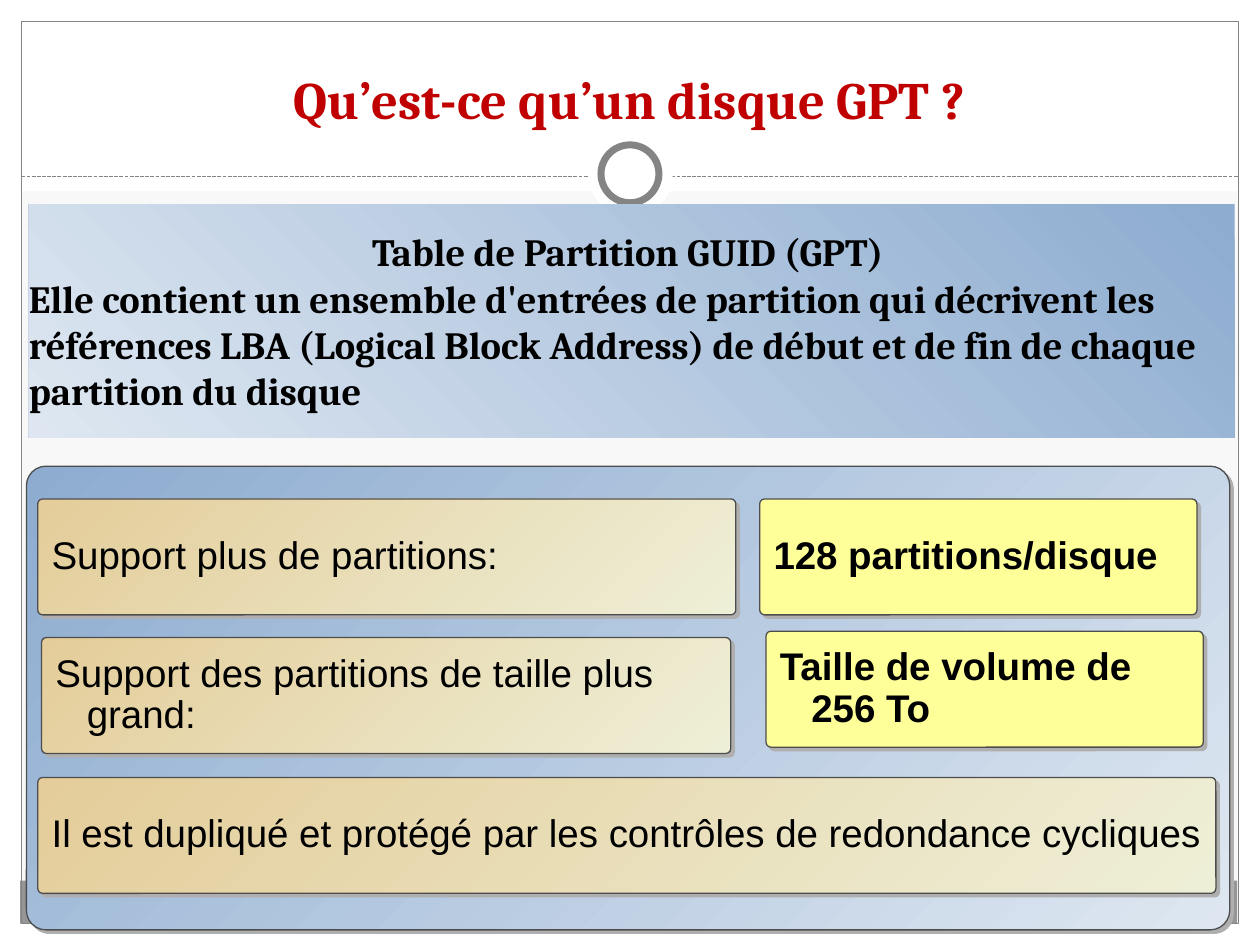
from dataclasses import dataclass

from lxml.etree import SubElement
from pptx import Presentation
from pptx.dml.color import RGBColor
from pptx.enum.dml import MSO_LINE
from pptx.enum.shapes import MSO_CONNECTOR, MSO_SHAPE as Kind
from pptx.enum.text import MSO_ANCHOR as Anchor, MSO_AUTO_SIZE, PP_ALIGN as Align
from pptx.oxml.ns import qn
from pptx.util import Inches, Pt

BLUES = ("8DACD0", "DEE7F1")
SANDS = ("E4CD9A", "EEEFD7")
YELLOW, WHITE, GREY, EDGE = "FFFF99", "FFFFFF", "848484", "4D4D4D"


@dataclass
class Card:
    x: float
    y: float
    w: float
    text: str
    fill: str | tuple[str, str] = SANDS
    bold: bool = False


def rgb(code: str) -> RGBColor:
    return RGBColor.from_string(code)


def paint(shape, fill, angle: int = 45) -> None:
    """Fill with one colour, or two along a clockwise angle."""
    if fill is None:
        shape.fill.background()
    elif isinstance(fill, str):
        shape.fill.solid()
        shape.fill.fore_color.rgb = rgb(fill)
    else:
        shape.fill.gradient()
        shape.fill.gradient_angle = 360 - angle
        for stop, code in zip(shape.fill.gradient_stops, fill):
            stop.color.rgb = rgb(code)


def add_box(slide, x: float, y: float, w: float, h: float, *, kind=Kind.RECTANGLE,
            fill=None, angle: int = 45, line: str | None = None, width: float = 0.75):
    box = slide.shapes.add_shape(kind, Inches(x), Inches(y), Inches(w), Inches(h))
    box.shadow.inherit = False
    paint(box, fill, angle)
    if line:
        box.line.color.rgb = rgb(line)
        box.line.width = Pt(width)
    else:
        box.line.fill.background()
    return box


def add_panel(slide, x: float, y: float, w: float, h: float, fill):
    """Rounded box with a hard grey shadow."""
    box = add_box(slide, x, y, w, h, kind=Kind.ROUNDED_RECTANGLE, fill=fill, line=EDGE)
    box.adjustments[0] = 0.042
    effects = box._element.spPr.find(qn("a:effectLst"))
    shade = SubElement(effects, qn("a:outerShdw"), blurRad="0", dist=str(Pt(2.8)),
                       dir="2700000", algn="ctr", rotWithShape="0")
    SubElement(shade, qn("a:srgbClr"), val="AFAFAF")
    return box


def write(shape, *lines: str, font: str = "Cambria", size: int = 22,
          color: str = "000000", bold: bool = True, aligns=(Align.LEFT,),
          anchor=Anchor.MIDDLE, inset=(0.1, 0.05), hang: float = 0,
          space: float = 1.0) -> None:
    frame = shape.text_frame
    frame.word_wrap = True
    frame.auto_size = MSO_AUTO_SIZE.NONE
    frame.vertical_anchor = anchor
    frame.margin_left = frame.margin_right = Inches(inset[0])
    frame.margin_top = frame.margin_bottom = Inches(inset[1])
    frame.text = "\n".join(lines)
    for para, align in zip(frame.paragraphs, aligns):
        para.alignment = align
        para.line_spacing = space
        if hang:
            props = para._p.get_or_add_pPr()
            props.set("marL", str(Inches(hang)))
            props.set("indent", str(-Inches(hang)))
        for run in para.runs:
            run.font.name = font
            run.font.size = Pt(size)
            run.font.bold = bold
            run.font.color.rgb = rgb(color)


def add_frame(slide) -> None:
    """Page border, header rule and ring."""
    for area in ((0, 7.33, 10, 0.17), (0, 0, 10, 1.52),
                 (0, 0, 0.17, 7.5), (9.83, 0, 0.17, 7.5)):
        add_box(slide, *area, fill=WHITE)
    add_box(slide, 0.16, 6.99, 9.66, 0.34, fill="969696")
    add_box(slide, 0.17, 0.17, 9.66, 7.16, line=GREY)
    rule = slide.shapes.add_connector(MSO_CONNECTOR.STRAIGHT, Inches(0.17), Inches(1.4),
                                      Inches(9.83), Inches(1.4))
    rule.line.color.rgb = rgb(GREY)
    rule.line.width = Pt(0.75)
    rule.line.dash_style = MSO_LINE.SQUARE_DOT
    SubElement(rule._element.spPr, qn("a:effectLst"))
    add_box(slide, 4.67, 1.05, 0.67, 0.67, kind=Kind.OVAL, fill=WHITE)
    add_box(slide, 4.77, 1.15, 0.46, 0.46, kind=Kind.OVAL, fill=WHITE, line=GREY, width=4)


def add_card(slide, card: Card) -> None:
    box = add_panel(slide, card.x, card.y, card.w, 0.92, card.fill)
    write(box, card.text, font="Arial", bold=card.bold, inset=(0.1, 0.15),
          hang=0.25, space=0.9)


CARDS = [
    Card(0.3, 3.96, 5.54, "Support plus de partitions:"),
    Card(0.33, 5.06, 5.47, "Support des partitions de taille plus grand:"),
    Card(0.3, 6.17, 9.35,
         "Il est dupliqué et protégé par les contrôles de redondance cycliques"),
    Card(6.03, 3.96, 3.47, "128 partitions/disque", YELLOW, True),
    Card(6.08, 5.01, 3.47, "Taille de volume de 256 To", YELLOW, True),
]


def main() -> None:
    deck = Presentation()
    deck.slide_width, deck.slide_height = Inches(10), Inches(7.5)
    slide = deck.slides.add_slide(deck.slide_layouts[5])
    slide.background.fill.solid()
    slide.background.fill.fore_color.rgb = rgb("F8F8F8")
    add_frame(slide)

    title = slide.shapes.title
    title.left, title.top = Inches(0.33), Inches(0.25)
    title.width, title.height = Inches(9.33), Inches(0.83)
    write(title, "Qu’est-ce qu’un disque GPT ?", size=30, color="C00000",
          aligns=(Align.CENTER,), anchor=Anchor.BOTTOM)
    slide.shapes._spTree.append(title._element)  # in front of the white header

    banner = add_box(slide, 0.23, 1.62, 9.57, 1.85, fill=BLUES, angle=135)
    write(banner, "Table de Partition GUID (GPT) ",
          "Elle contient un ensemble d'entrées de partition qui décrivent les "
          "références LBA (Logical Block Address) de début et de fin de chaque "
          "partition du disque",
          aligns=(Align.CENTER, Align.LEFT), inset=(0, 0))

    add_panel(slide, 0.21, 3.7, 9.55, 3.68, BLUES)
    for card in CARDS:
        add_card(slide, card)
    deck.save("out.pptx")


if __name__ == "__main__":
    main()
